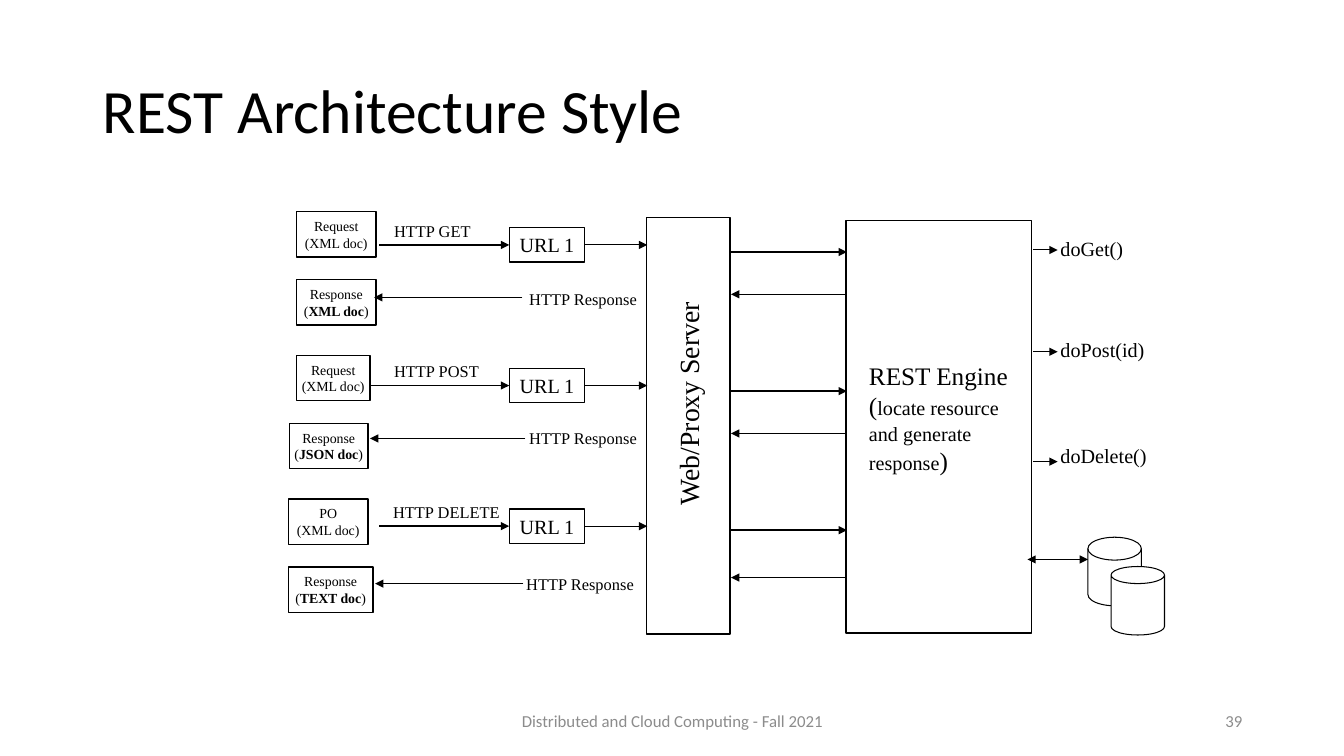
from lxml import etree
from pptx import Presentation
from pptx import util as u
from pptx.dml.color import RGBColor
from pptx.enum import shapes, text
from pptx.oxml import ns

COLUMNS, ROWS = 1333, 750
CELL = u.Inches(0.01)
SERIF, SANS = "Times New Roman", "Calibri"
LEFT, CENTER, RIGHT = text.PP_ALIGN.LEFT, text.PP_ALIGN.CENTER, text.PP_ALIGN.RIGHT
RECTANGLE = shapes.MSO_SHAPE.RECTANGLE

presentation = Presentation()
presentation.slide_width = COLUMNS * CELL
presentation.slide_height = ROWS * CELL
slide = presentation.slides.add_slide(presentation.slide_layouts[5])


def add_item(words, box, sizes, align=CENTER, kind=None, line=1, fill="FFFFFF",
             font=SERIF, color="000000", wrap=False, bold=True):
    area = [int(value * CELL) for value in box]
    if kind is None:
        shape = slide.shapes.add_textbox(*area)
    else:
        shape = slide.shapes.add_shape(kind, *area)
        shape.shadow.inherit = False
        shape.line.color.rgb = RGBColor.from_string("000000")
        shape.line.width = u.Pt(line)
        if fill:
            shape.fill.solid()
            shape.fill.fore_color.rgb = RGBColor.from_string(fill)
        else:
            shape.fill.background()
    frame = shape.text_frame
    frame.word_wrap = wrap
    frame.vertical_anchor = text.MSO_ANCHOR.MIDDLE
    frame.margin_left = frame.margin_right = 10 * CELL
    frame.margin_top = frame.margin_bottom = 0
    frame.text = "\n".join(row.split("|")[0] for row in words.split("\n"))
    for paragraph, row in zip(frame.paragraphs, words.split("\n")):
        paragraph.alignment = align
        for part in row.split("|")[1:]:
            paragraph.add_run().text = part
        for index, run in enumerate(paragraph.runs):
            run.font.name = font
            run.font.size = u.Pt(sizes[index % len(sizes)])
            run.font.bold = bold and index % 2 == 1
            run.font.color.rgb = RGBColor.from_string(color)
    return shape


def add_arrow(start, end, width=1, both=False):
    points = [int(value * CELL) for value in (*start, *end)]
    arrow = slide.shapes.add_connector(shapes.MSO_CONNECTOR.STRAIGHT, *points)
    arrow.line.color.rgb = RGBColor.from_string("000000")
    arrow.line.width = u.Pt(width)
    line = arrow.line._get_or_add_ln()
    for end_name in ("a:headEnd", "a:tailEnd")[0 if both else 1:]:
        etree.SubElement(line, ns.qn(end_name), type="triangle")
    etree.SubElement(arrow._element.spPr, ns.qn("a:effectLst"))
    return arrow


title = slide.shapes.title
title.left, title.top, title.width, title.height = (value * CELL for value in (92, 40, 1150, 145))
title.text_frame.text = "REST Architecture Style"
title.text_frame.vertical_anchor = text.MSO_ANCHOR.MIDDLE
heading = title.text_frame.paragraphs[0]
heading.alignment = LEFT
heading.line_spacing = 0.9
heading.runs[0].font.name = SANS
heading.runs[0].font.size = u.Pt(44)
heading.runs[0].font.color.rgb = RGBColor.from_string("000000")

add_item("", (641, 216, 83, 413), [20], kind=RECTANGLE)
proxy_label = add_item("Web/Proxy Server", (543, 379, 279, 43), [19.8])
proxy_label.rotation = 270
add_item("", (839, 219, 184, 409), [18], kind=RECTANGLE)
add_item("REST Engine\n(|locate resource and generate response|)", (852, 352, 159, 125),
         [18, 14.4], LEFT, wrap=True, bold=False)

exchanges = [
    ("Request", "HTTP GET", "XML", (294, 79), (294, 79), 376, 381, 515, 371, 518, 295, 297),
    ("Request", "HTTP POST", "JSON", (294, 73), (287, 78), 367, 381, 515, 367, 521, 435, 435),
    ("PO", "HTTP DELETE", "TEXT", (286, 79), (286, 84), 376, 380, 512, 372, 519, 579, 579),
]
for index, (request, method, reply, request_span, reply_span, request_end, method_left,
            reply_label_left, reply_end, reply_start, reply_row, reply_label_row) in enumerate(exchanges):
    request_top = 210 + 142.5 * index
    url_row = 243 + 139.5 * index
    for words, span, top in ((f"{request}\n(XML doc)", request_span, request_top),
                             (f"Response\n(|{reply} doc|)", reply_span, request_top + 67.5)):
        add_item(words, (span[0], top, span[1], 45), [9.9], kind=RECTANGLE)
    add_item(method, (method_left, url_row - 29, 127, 30), [11.7], LEFT)
    url = add_item("URL 1", (505, url_row - 17, 75, 34), [14.4],
                   kind=RECTANGLE, line=0.75, fill=None)
    add_arrow((request_end, url_row), (505, url_row)).end_connect(url, 1)
    add_arrow((580, url_row), (642, url_row), 0.75).begin_connect(url, 3)
    add_item("HTTP Response", (reply_label_left, reply_label_row - 15, 128, 30), [11.7], LEFT)
    add_arrow((reply_start, reply_row), (reply_end, reply_row))
    engine_row = 250 + 138 * index
    answer_row = (292, 430, 573)[index]
    add_arrow((725, engine_row), (840, engine_row))
    add_arrow((839, answer_row), (725, answer_row))

for call, arrow_row, label_row in (("doGet()", 248, 246), ("doPost(id)", 349, 347),
                                   ("doDelete()", 458, 452)):
    add_arrow((1025, arrow_row), (1049, arrow_row), 0.75)
    add_item(call, (1042, label_row - 17, 106, 34), [14.4], LEFT)

add_item("", (1079, 533, 53, 68), [12], kind=shapes.MSO_SHAPE.FLOWCHART_MAGNETIC_DISK,
         line=0.75, fill=None)
front_disk = add_item("", (1102, 562, 53, 68), [12], kind=shapes.MSO_SHAPE.CAN, line=0.75)
front_disk.adjustments[0] = 0.32
add_arrow((1019, 555), (1079, 555), 0.75, both=True)

add_item("Distributed and Cloud Computing - Fall 2021", (442, 695, 450, 40), [12],
         font=SANS, color="8C8C8C", wrap=True)
add_item("39", (942, 695, 300, 40), [12], RIGHT, font=SANS, color="8C8C8C", wrap=True)

presentation.save("out.pptx")
